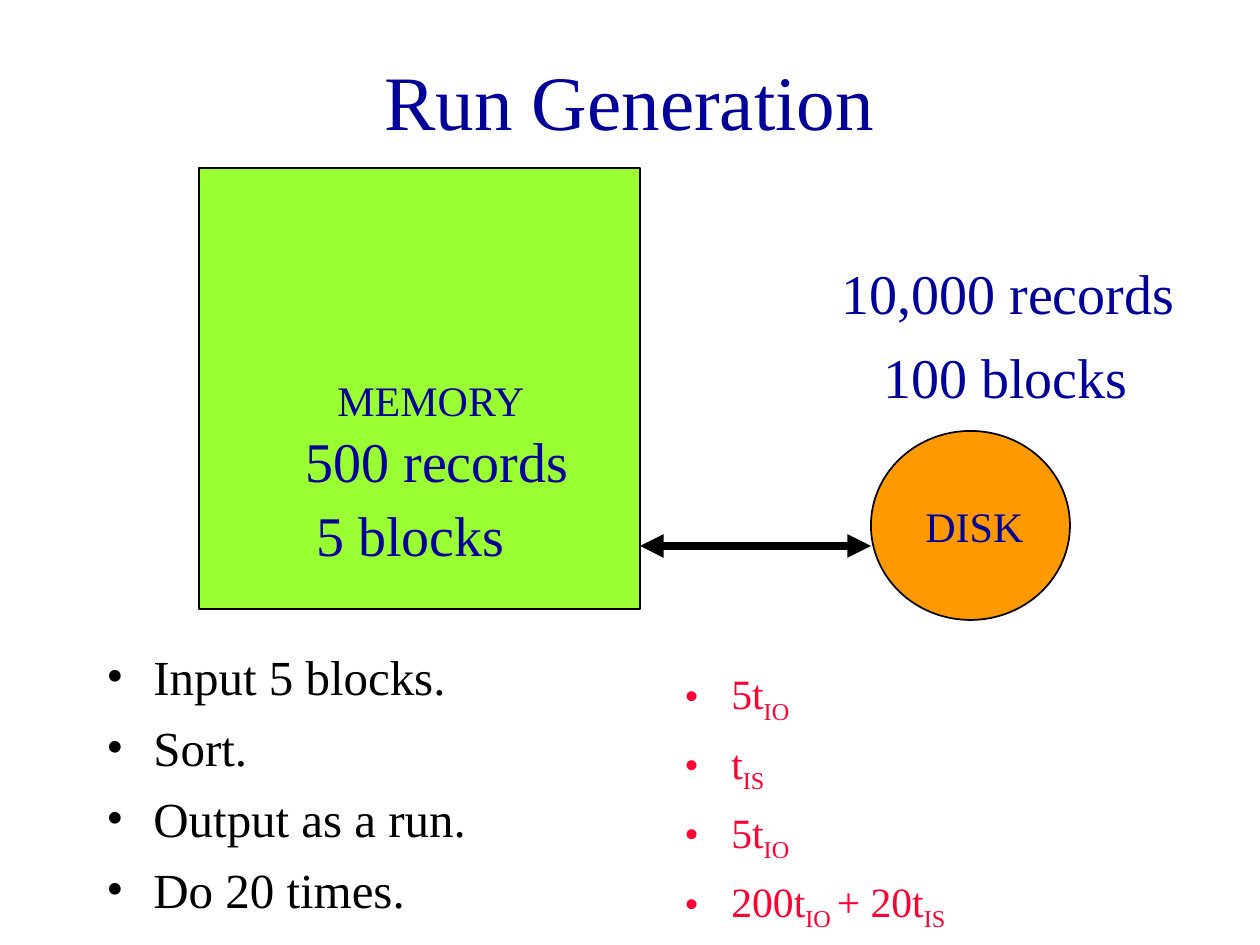
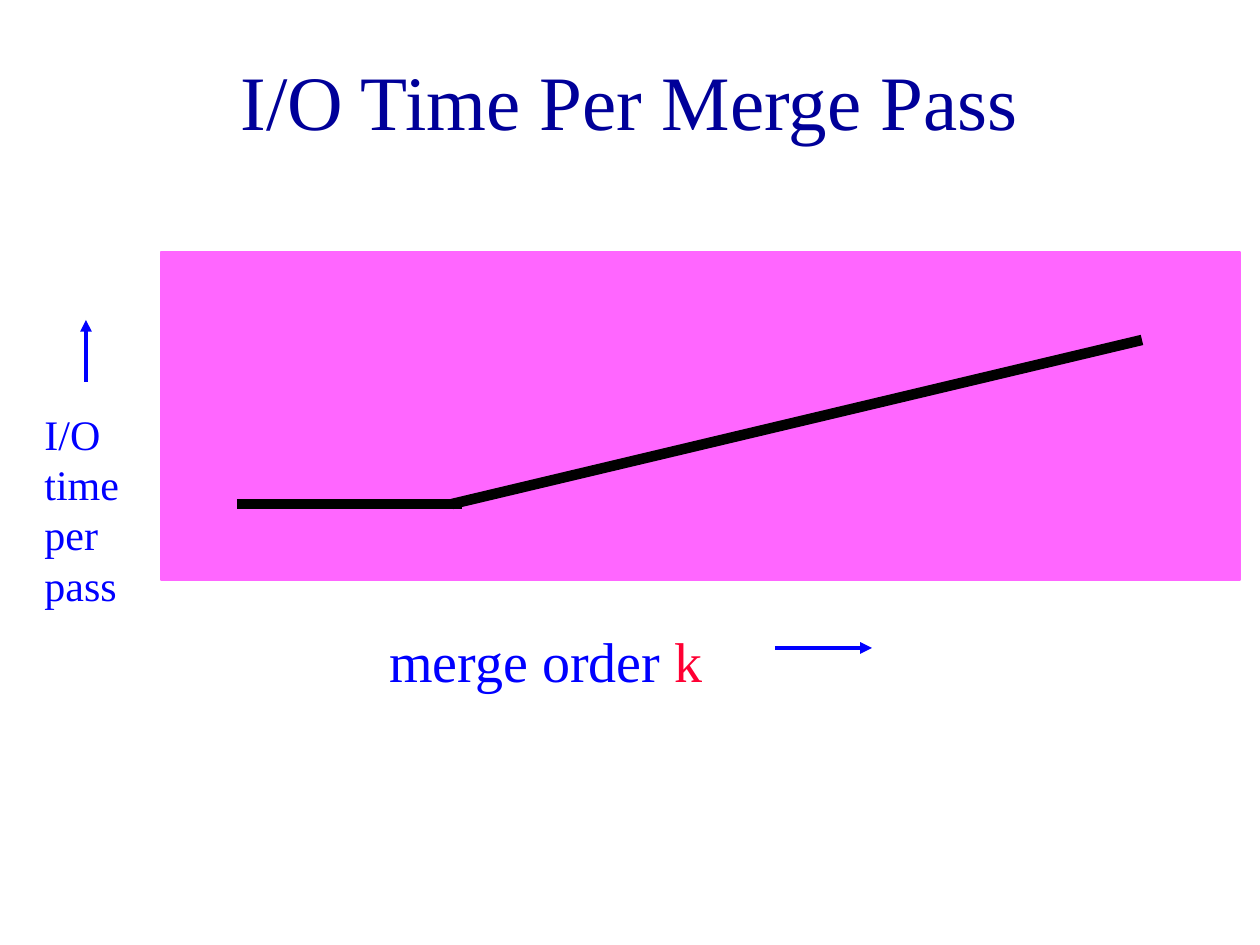
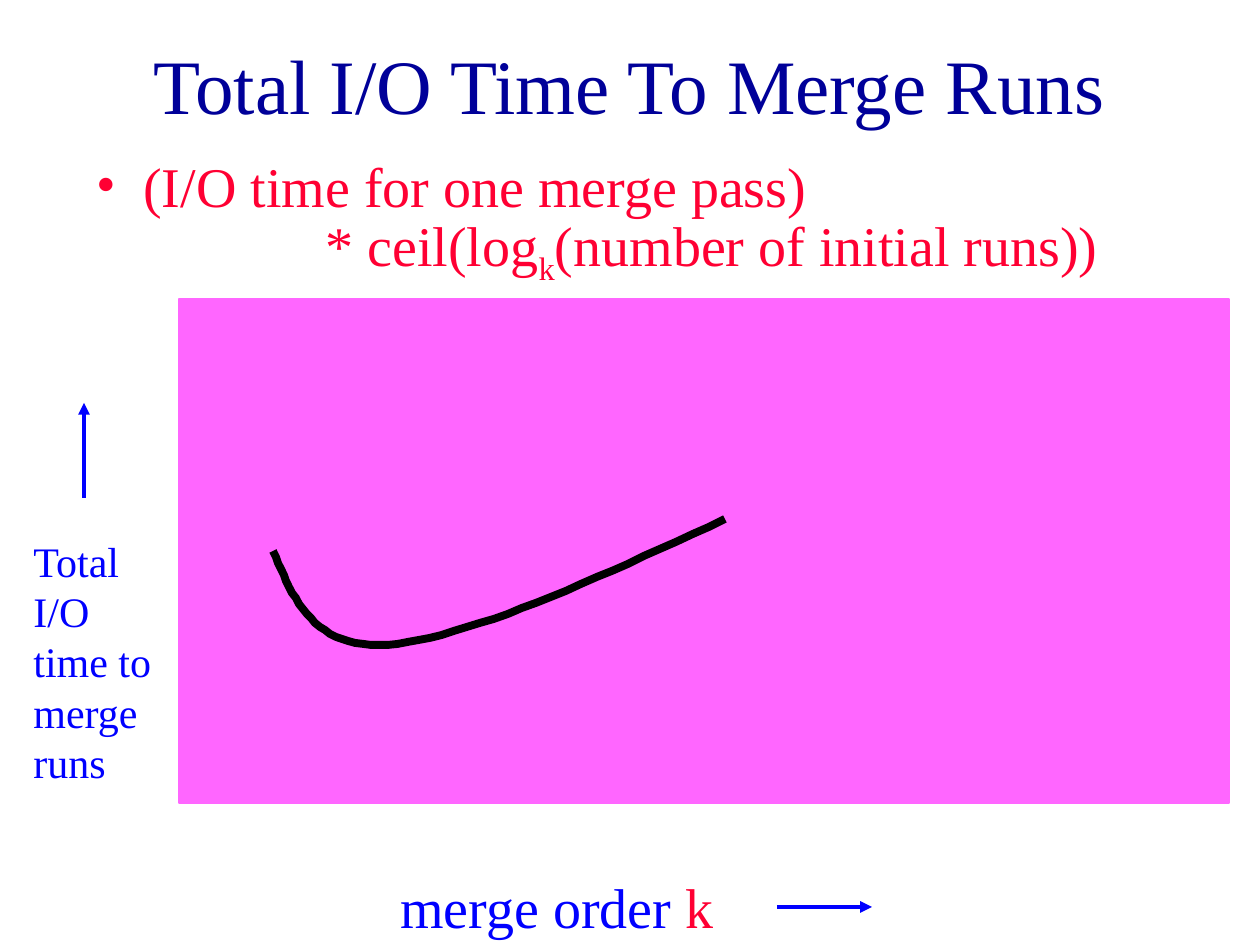
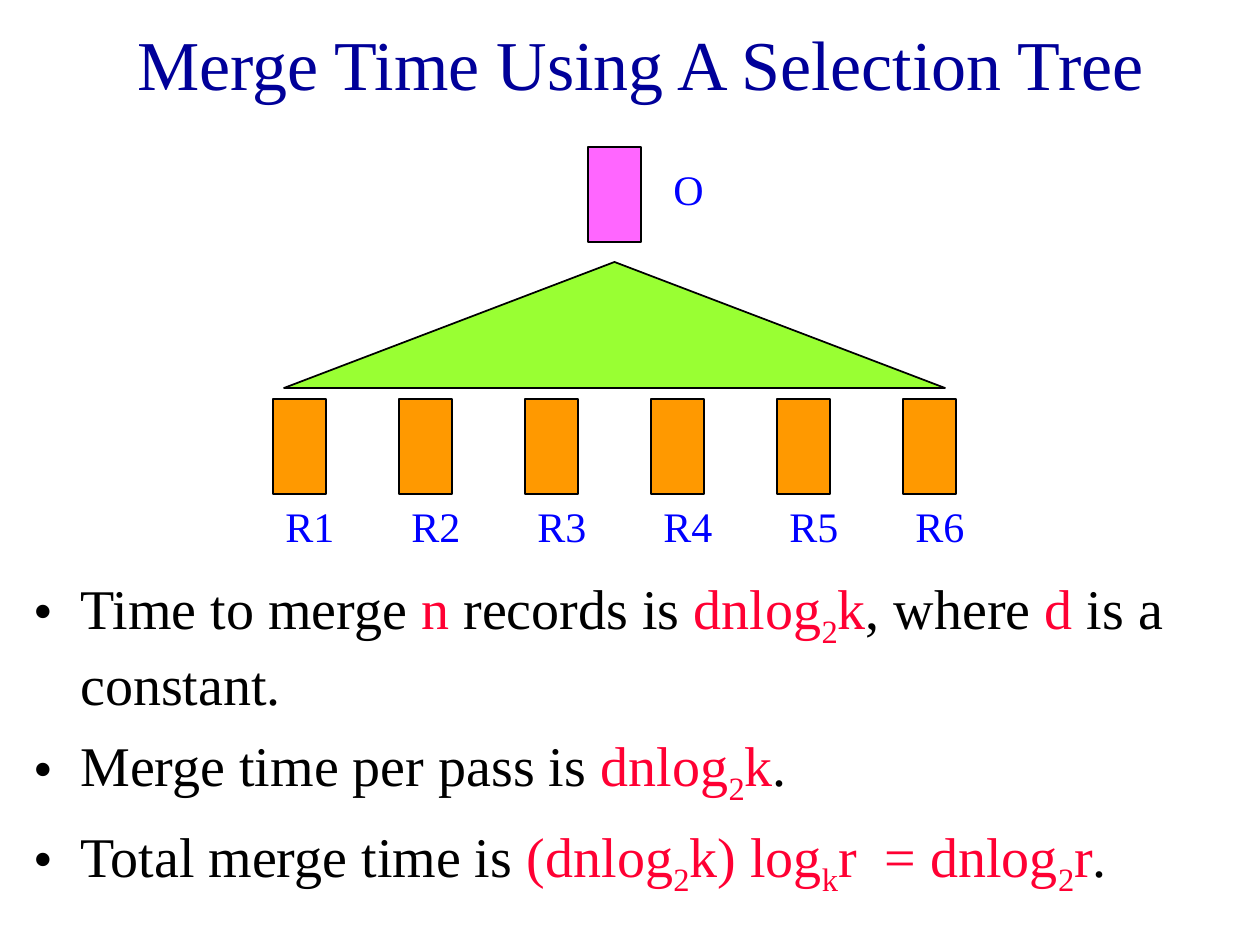
from lxml.etree import SubElement
from pptx import Presentation
from pptx.dml.color import RGBColor
from pptx.enum.shapes import MSO_CONNECTOR, MSO_SHAPE
from pptx.enum.text import MSO_ANCHOR, PP_ALIGN
from pptx.oxml.ns import qn
from pptx.util import Pt

PX = 914400 / 126
FONT = "Times New Roman"
C = {"navy": "000099", "blue": "0000FF", "red": "FF0033", "black": "000000",
     "green": "99FF33", "orange": "FF9900", "pink": "FF66FF"}


def px(*values):
    """Turn pixel lengths into EMU."""
    return [round(v * PX) for v in values]


def rgb(name):
    """Look up a palette colour."""
    return RGBColor.from_string(C[name])


def style(r, size, color, sub=False):
    """Format one run."""
    r.font.name, r.font.size = FONT, Pt(size)
    r.font.color.rgb = rgb(color)
    if sub:
        r._r.get_or_add_rPr().set("baseline", "-25000")


def write(p, parts, size):
    """Fill a paragraph from (text, colour) parts; underscores enclose subscripts."""
    for text, color in parts:
        for i, piece in enumerate(text.split("_")):
            if piece:
                r = p.add_run()
                r.text = piece
                style(r, size, color, sub=i % 2 == 1)


def text_box(s, box):
    """Add a wrapping text box and return its frame."""
    tf = s.shapes.add_textbox(*px(*box)).text_frame
    tf.word_wrap = True
    return tf


def label(s, box, *parts, size=24):
    """Add a one-paragraph label."""
    write(text_box(s, box).paragraphs[0], parts, size)


def indent(p, left, first):
    """Set a paragraph's left margin and first-line indent."""
    pPr = p._p.get_or_add_pPr()
    pPr.set("marL", str(px(left)[0]))
    pPr.set("indent", str(px(first)[0]))
    return pPr


def bullets(s, box, items, size, before):
    """Add a bulleted list whose bullets take the colour of the first part."""
    tf = text_box(s, box)
    for i, parts in enumerate(items):
        p = tf.add_paragraph() if i else tf.paragraphs[0]
        p.space_before = Pt(before)
        write(p, parts, size)
        pPr = indent(p, 47, -47)
        SubElement(SubElement(pPr, qn("a:buClr")), qn("a:srgbClr")).set("val", C[parts[0][1]])
        SubElement(pPr, qn("a:buFont")).set("typeface", FONT)
        SubElement(pPr, qn("a:buChar")).set("char", "•")
    return tf


def shape(s, kind, box, fill, line="black"):
    """Add a filled preset shape with a thin outline."""
    sp = s.shapes.add_shape(kind, *px(*box))
    sp.shadow.inherit = False
    sp.fill.solid()
    sp.fill.fore_color.rgb = rgb(fill)
    sp.line.color.rgb, sp.line.width = rgb(line), Pt(1)


def line(s, start, end, color="black", width=6, heads=()):
    """Add a straight line with optional arrowheads."""
    cx = s.shapes.add_connector(MSO_CONNECTOR.STRAIGHT, *px(*start, *end))
    cx.line.color.rgb, cx.line.width = rgb(color), Pt(width)
    for head in heads:
        SubElement(cx.line._get_or_add_ln(), qn("a:" + head)).set("type", "triangle")
    SubElement(cx._element.spPr, qn("a:effectLst"))


def curve(s, *beziers, steps=24):
    """Draw joined cubic curves as one open outline."""
    points = [beziers[0][0]]
    for a, b, c, d in beziers:
        for t in (i / steps for i in range(1, steps + 1)):
            u = 1 - t
            points.append([u**3 * a[k] + 3 * u * u * t * b[k] + 3 * u * t * t * c[k] + t**3 * d[k]
                           for k in (0, 1)])
    fb = s.shapes.build_freeform(*points[0], scale=PX)
    fb.add_line_segments(points[1:], close=False)
    sp = fb.convert_to_shape()
    sp.shadow.inherit = False
    sp.fill.background()
    sp.line.color.rgb, sp.line.width = rgb("black"), Pt(4.5)


def new_slide(prs, title, box, size=44):
    """Add a slide with its styled title."""
    s = prs.slides.add_slide(prs.slide_layouts[5])
    sp = s.shapes.title
    sp.left, sp.top, sp.width, sp.height = px(*box)
    tf = sp.text_frame
    tf.text = title
    tf.vertical_anchor = MSO_ANCHOR.MIDDLE
    tf.paragraphs[0].alignment = PP_ALIGN.CENTER
    style(tf.paragraphs[0].runs[0], size, "navy")
    return s


def memory_and_disk(s, x, y):
    """Draw memory and disk, joined by a two-way arrow."""
    shape(s, MSO_SHAPE.RECTANGLE, (x, y, 441, 441), "green")
    shape(s, MSO_SHAPE.OVAL, (x + 672, y + 263, 199, 189), "orange")
    line(s, (x + 441, y + 378), (x + 672, y + 378), width=4.5, heads=("headEnd", "tailEnd"))
    for text, dx, dy, w, size in (("DISK", 714, 326, 168, 24), ("MEMORY", 126, 200, 220, 24),
                                  ("500 records", 94, 252, 315, 32),
                                  ("10,000 records", 630, 84, 431, 32),
                                  ("5 blocks", 105, 326, 242, 32),
                                  ("100 blocks", 672, 168, 294, 32)):
        label(s, (x + dx, y + dy, w, 63 if size == 24 else 81), (text, "navy"), size=size)


def plot_area(s, panel, y_label, y_box, y_arrow, x_box, x_arrow):
    """Draw a plot panel with axis labels and arrows given as (x, y, length)."""
    shape(s, MSO_SHAPE.RECTANGLE, panel, "pink", line="pink")
    label(s, y_box, (y_label, "blue"))
    label(s, x_box, ("merge order ", "blue"), ("k", "red"), size=32)
    x, y, length = y_arrow
    line(s, (x, y), (x, y - length), "blue", 2.25, ("tailEnd",))
    x, y, length = x_arrow
    line(s, (x, y), (x + length, y), "blue", 2.25, ("tailEnd",))


def selection_tree(s, x, y, runs=6):
    """Draw the output block, the tree and the row of input runs."""
    for i in range(runs):
        left = x + i * 126
        shape(s, MSO_SHAPE.RECTANGLE, (left, y + 252, 53, 95), "orange")
        label(s, (left, y + 347, 94, 63), (f"R{i + 1}", "blue"))
    shape(s, MSO_SHAPE.RECTANGLE, (x + 315, y, 53, 95), "pink")
    label(s, (x + 388, y + 10, 94, 63), ("O", "blue"))
    shape(s, MSO_SHAPE.ISOSCELES_TRIANGLE, (x + 11, y + 115, 661, 126), "green")


def run_generation(prs):
    """Build the run generation slide."""
    s = new_slide(prs, "Run Generation", (94, 21, 1071, 158))
    steps = ("Input 5 blocks.", "Sort.", "Output as a run.", "Do 20 times.")
    times = ("5t_IO_", "t_IS_", "5t_IO_", "200t_IO _+ 20t_IS_")
    bullets(s, (94, 640, 525, 305), [[(t, "black")] for t in steps], 28, 7)
    bullets(s, (672, 662, 525, 283), [[(t, "red")] for t in times], 23.8, 7)
    memory_and_disk(s, 199, 168)


def pass_time(prs):
    """Build the time per pass slide."""
    s = new_slide(prs, "I/O Time Per Merge Pass", (94, 21, 1071, 158))
    plot_area(s, (161, 252, 1079, 328), "I/O time per pass", (32, 402, 118, 214),
              (86, 382, 62), (377, 620, 377, 81), (775, 648, 97))
    line(s, (452, 504), (1142, 340))
    line(s, (237, 504), (462, 504))


def total_time(prs):
    """Build the total merge time slide."""
    s = new_slide(prs, "Total I/O Time To Merge Runs", (94, 21, 1071, 126))
    plot_area(s, (179, 299, 1050, 504), "Total I/O time to merge runs", (21, 529, 147, 265),
              (84, 498, 95), (388, 866, 368, 81), (777, 907, 95))
    curve(s, ((273, 551), (294, 600), (314, 650), (388, 645)),
          ((388, 645), (464, 639), (595, 580), (725, 519)))
    tf = bullets(s, (84, 158, 1071, 136), [[("(I/O time for one merge pass)", "red")]], 32, 8)
    p = tf.add_paragraph()
    indent(p, 229, 0)
    write(p, [("* ceil(log_k_(number of initial runs))", "red")], 32)
    for p in tf.paragraphs:
        p.line_spacing = 0.8


def selection_time(prs):
    """Build the selection tree slide."""
    s = new_slide(prs, "Merge Time Using A Selection Tree", (21, 0, 1239, 126), 40)
    bullets(s, (21, 567, 1239, 347), [
        [("Time to merge ", "black"), ("n", "red"), (" records is ", "black"),
         ("dnlog_2_k", "red"), (", where ", "black"), ("d", "red"), (" is a constant.", "black")],
        [("Merge time per pass is ", "black"), ("dnlog_2_k", "red"), (".", "black")],
        [("Total merge time is ", "black"), ("(dnlog_2_k) log_k_r  = dnlog_2_r", "red"),
         (".", "black")]], 32, 8)
    selection_tree(s, 273, 147)


def main():
    """Build and save the deck."""
    prs = Presentation()
    prs.slide_width, prs.slide_height = px(1260, 945)
    for build in (run_generation, pass_time, total_time, selection_time):
        build(prs)
    prs.save("out.pptx")


if __name__ == "__main__":
    main()
